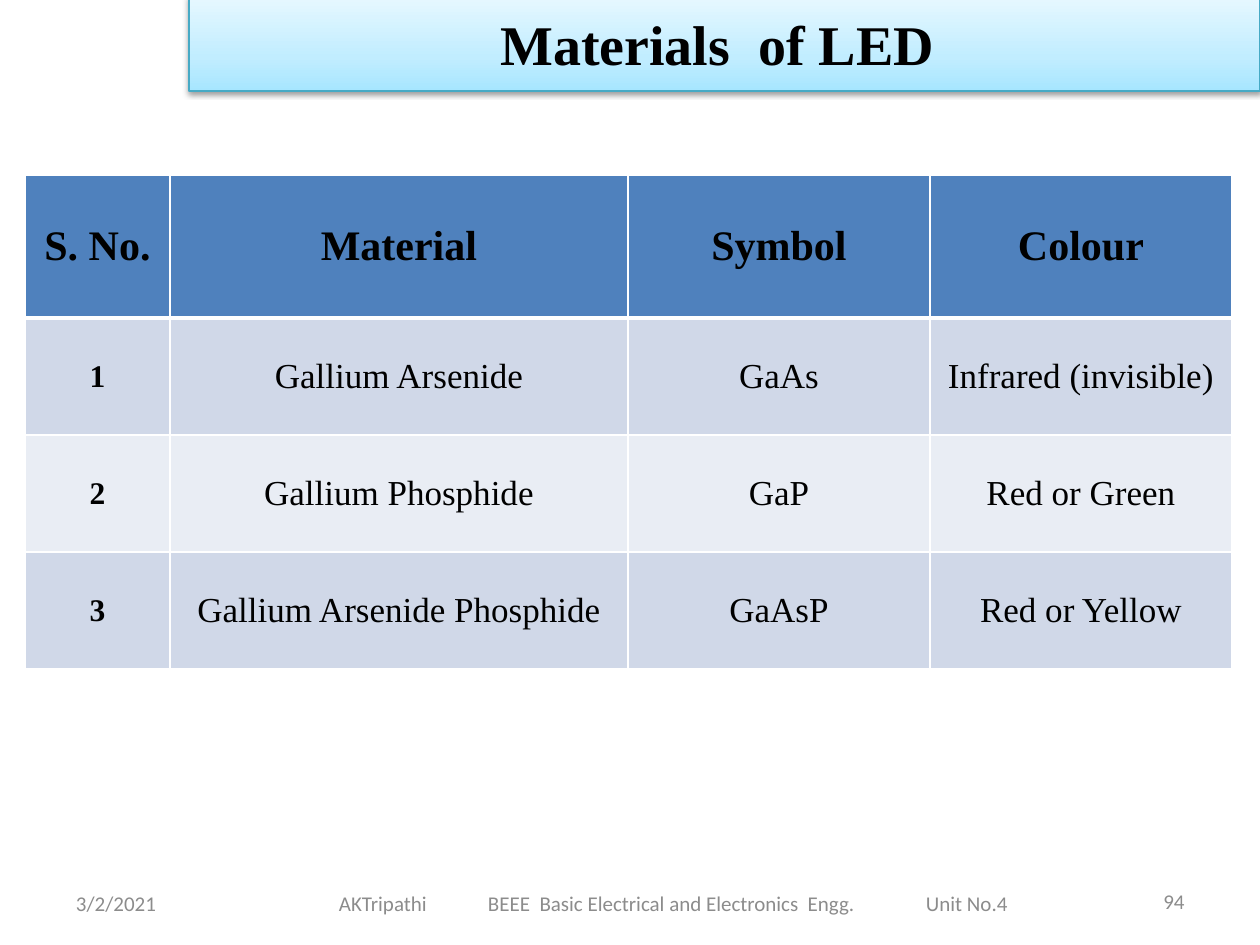
from dataclasses import dataclass

from lxml import etree
from pptx import Presentation
from pptx import util as u
from pptx.dml.color import RGBColor
from pptx.enum import shapes, text
from pptx.oxml import ns

SCALE = u.Inches(1) / 126
ALIGN = text.PP_ALIGN


@dataclass(frozen=True)
class Theme:
    """Colours, fonts and type sizes of the slide."""
    ink: str = "000000"
    muted: str = "8C8C8C"
    rule: str = "FFFFFF"
    header: str = "4F81BD"
    bands: tuple = ("D0D8E8", "E9EDF4")
    banner: tuple = ((0, "A7E6FF"), (35, "C1EDFF"), (100, "E7F8FF"))
    banner_line: str = "46AAC5"
    serif: str = "Times New Roman"
    sans: str = "Calibri"
    title_size: int = 32
    header_size: int = 24
    body_size: int = 20
    number_size: int = 18
    footer_size: int = 12


THEME = Theme()


def px(length):
    """Turn px into EMU."""
    return u.Emu(round(length * SCALE))


def child(parent, tag, **attributes):
    """Append a DrawingML element and return it."""
    values = {name: str(value) for name, value in attributes.items()}
    return etree.SubElement(parent, ns.qn(f"a:{tag}"), values)


def write(frame, wording, size, font, colour, align, bold=False):
    """Write one run, centred vertically, into a text frame or cell."""
    frame.vertical_anchor = text.MSO_ANCHOR.MIDDLE
    paragraph = getattr(frame, "text_frame", frame).paragraphs[0]
    paragraph.alignment = align
    run = paragraph.add_run()
    run.text = wording
    run.font.size = u.Pt(size)
    run.font.name = font
    run.font.bold = bold
    run.font.color.rgb = RGBColor.from_string(colour)


def border(cell, sides):
    """Draw the cell's rules from widths in points, keyed by side."""
    properties = cell._tc.get_or_add_tcPr()
    for index, side in enumerate("LRTB"):
        line = child(properties, f"ln{side}", w=u.Pt(sides[side]))
        child(child(line, "solidFill"), "srgbClr", val=THEME.rule)
        properties.insert(index, line)


def title_banner(slide, box, wording):
    """Place the shaded title banner."""
    banner = slide.shapes.add_shape(shapes.MSO_SHAPE.RECTANGLE, *map(px, box))
    banner.fill.gradient()
    banner.fill.gradient_angle = 90
    stops = banner._element.spPr.find(".//" + ns.qn("a:gsLst"))
    stops.clear()
    for position, colour in THEME.banner:
        child(child(stops, "gs", pos=position * 1000), "srgbClr", val=colour)
    banner.line.color.rgb = RGBColor.from_string(THEME.banner_line)
    banner.line.width = u.Pt(0.75)
    banner.shadow.inherit = False
    effects = banner._element.spPr.find(ns.qn("a:effectLst"))
    shadow = child(effects, "outerShdw", blurRad=u.Pt(3.1), dist=u.Pt(1.6),
                   dir=5400000, rotWithShape=0)
    child(child(shadow, "srgbClr", val=THEME.ink), "alpha", val=38000)
    write(banner.text_frame, wording, THEME.title_size, THEME.serif,
          THEME.ink, ALIGN.CENTER, bold=True)


def materials_table(slide, box, widths, header_height, rows):
    """Place the table, with equal body rows below its header."""
    table = slide.shapes.add_table(len(rows), len(widths), *map(px, box)).table
    table.first_row = table.horz_banding = False
    for column, width in zip(table.columns, widths):
        column.width = px(width)
    body_height = (box[3] - header_height) / (len(rows) - 1)
    for r, entries in enumerate(rows):
        table.rows[r].height = px(body_height if r else header_height)
        fill = THEME.bands[(r - 1) % 2] if r else THEME.header
        sides = {"L": 1, "R": 1, "T": 3 if r == 1 else 1, "B": 1 if r else 3}
        for c, entry in enumerate(entries):
            cell = table.cell(r, c)
            cell.fill.solid()
            cell.fill.fore_color.rgb = RGBColor.from_string(fill)
            border(cell, sides)
            body_size = THEME.body_size if c else THEME.number_size
            write(cell, entry, body_size if r else THEME.header_size,
                  THEME.serif, THEME.ink, ALIGN.CENTER, bold=r == 0 or c == 0)


def footer_part(slide, box, wording, align, inset=13, tabs=()):
    """Place one footer text, with tab stops measured from its inset."""
    part = slide.shapes.add_textbox(*map(px, box))
    frame = part.text_frame
    frame.word_wrap = True
    frame.margin_left = px(inset)
    if tabs:
        stops = child(frame.paragraphs[0]._p.get_or_add_pPr(), "tabLst")
        for stop in tabs:
            child(stops, "tab", pos=px(stop), algn="l")
    write(frame, wording, THEME.footer_size, THEME.sans, THEME.muted, align)


def footer(slide, box):
    """Place the page number, course line and date."""
    left, top, width, height = box
    side = 294
    footer_part(slide, (left + width - side, top - 2, side, height), "94",
                ALIGN.RIGHT)
    footer_part(slide, (left + 252, top, 718, height),
                "AKTripathi\tBEEE  Basic Electrical and Electronics  Engg."
                "\tUnit No.4", ALIGN.LEFT, inset=24, tabs=(149, 587))
    footer_part(slide, (left, top, side, height), "3/2/2021", ALIGN.LEFT)


def main():
    """Build and save the slide."""
    deck = Presentation()
    deck.slide_width, deck.slide_height = px(1260), px(945)
    slide = deck.slides.add_slide(deck.slide_layouts[6])
    materials_table(slide, (25, 175, 1207, 494), (145, 458, 302, 302), 143, (
        ("S. No.", "Material", "Symbol", "Colour"),
        ("1", "Gallium Arsenide", "GaAs", "Infrared (invisible)"),
        ("2", "Gallium Phosphide", "GaP", "Red or Green"),
        ("3", "Gallium Arsenide Phosphide", "GaAsP", "Red or Yellow"),
    ))
    footer(slide, (63, 878, 1134, 50))
    title_banner(slide, (189, -4, 1071, 95), "Materials  of LED ")
    deck.save("out.pptx")


if __name__ == "__main__":
    main()
